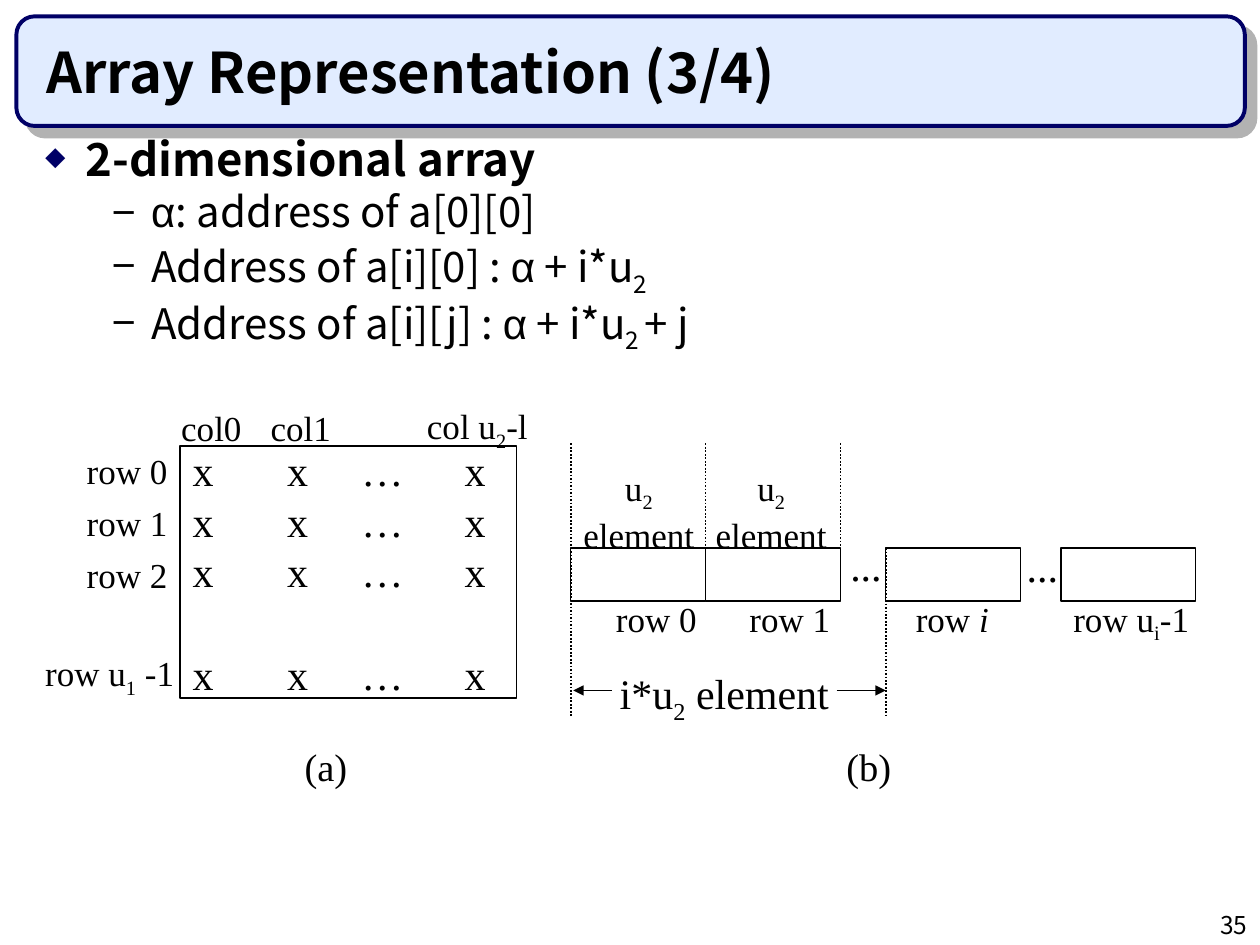
import pptx
import pptx.util
import pptx.dml.color
import pptx.enum.dml
import pptx.enum.shapes
import pptx.enum.text
import pptx.oxml
import pptx.oxml.ns

Inches, Pt = pptx.util.Inches, pptx.util.Pt
RGB = pptx.dml.color.RGBColor.from_string
ALIGN = pptx.enum.text.PP_ALIGN
ANCHOR = pptx.enum.text.MSO_ANCHOR
FIT = pptx.enum.text.MSO_AUTO_SIZE
SHAPE = pptx.enum.shapes.MSO_SHAPE
NS = pptx.oxml.ns.nsdecls("a")

THEME = {
    "ink": "000000", "paper": "FFFFFF", "navy": "000066", "panel": "E1ECFF", "shade": "B2B2B2",
    "sans": "Noto Sans CJK KR", "serif": "Times New Roman", "greek": "Arial",
    "title": 32, "head": 26, "item": 24, "cell": 24, "caption": 22, "label": 20, "number": 14,
}


def assign(target, values):
    for name, value in values.items():
        setattr(target, name, value)


def write(para, markup, size, font, bold=False):
    for index, piece in enumerate(markup.split("|")):
        if not piece:
            continue
        mark, text = (piece[0], piece[1:]) if index % 2 else ("", piece)
        span = para.add_run()
        span.text = text
        assign(span.font, {
            "name": THEME["greek"] if mark == "@" else font,
            "size": Pt(size), "bold": bold, "italic": mark == "/",
        })
        span.font.color.rgb = RGB(THEME["ink"])
        if mark == "_":
            span._r.get_or_add_rPr().set("baseline", "-25000")


deck = pptx.Presentation()
assign(deck, {"slide_width": Inches(10), "slide_height": Inches(7.5)})
page = deck.slides.add_slide(deck.slide_layouts[1])
title, body = page.shapes.title, page.placeholders[1]

panel = page.shapes.add_shape(SHAPE.ROUNDED_RECTANGLE, Inches(0.13), Inches(0.13), Inches(9.75), Inches(0.87))
panel.fill.solid()
panel.fill.fore_color.rgb = RGB(THEME["panel"])
panel.line.color.rgb = RGB(THEME["navy"])
panel.line.width = Pt(2.25)
panel.element.spPr.append(pptx.oxml.parse_xml(
    f'<a:effectLst {NS}><a:outerShdw dist="{Pt(8.5)}" dir="2700000" algn="ctr" rotWithShape="0">'
    f'<a:srgbClr val="{THEME["shade"]}"/></a:outerShdw></a:effectLst>'))
title.element.addprevious(panel.element)

assign(title, {"left": Inches(0.27), "top": Inches(0.21), "width": Inches(9.42), "height": Inches(0.67)})
assign(title.text_frame, {"vertical_anchor": ANCHOR.BOTTOM, "auto_size": FIT.NONE, "word_wrap": True})
title.text_frame.paragraphs[0].alignment = ALIGN.LEFT
write(title.text_frame.paragraphs[0], "Array Representation (3/4)", THEME["title"], THEME["sans"], True)

assign(body, {"left": Inches(0.2), "top": Inches(1.07), "width": Inches(9.42), "height": Inches(5.83)})
assign(body.text_frame, {"vertical_anchor": ANCHOR.TOP, "auto_size": FIT.NONE, "word_wrap": True})
head = {"level": 0, "size": THEME["head"], "bold": True, "before": 6.5, "margin": 0.38,
        "hang": 0.32, "bullet": "◆", "colour": THEME["navy"], "percent": 45}
item = {"level": 1, "size": THEME["item"], "bold": False, "before": 6, "margin": 0.9,
        "hang": 0.31, "bullet": "−", "colour": THEME["ink"], "percent": 100}
points = [
    (head, "2-dimensional array"),
    (item, "|@α|: address of a[0][0]"),
    (item, "Address of a[i][0] : |@α| + i*u|_2|"),
    (item, "Address of a[i][j] : |@α| + i*u|_2 |+ j"),
]
for index, (look, markup) in enumerate(points):
    para = body.text_frame.add_paragraph() if index else body.text_frame.paragraphs[0]
    assign(para, {"level": look["level"], "alignment": ALIGN.JUSTIFY, "line_spacing": 0.8,
                  "space_before": Pt(look["before"])})
    props = para._p.get_or_add_pPr()
    props.set("marL", str(Inches(look["margin"])))
    props.set("indent", str(-Inches(look["hang"])))
    for xml in (f'<a:buClr {NS}><a:srgbClr val="{look["colour"]}"/></a:buClr>',
                f'<a:buSzPct {NS} val="{look["percent"] * 1000}"/>',
                f'<a:buFont {NS} typeface="{THEME["sans"]}"/>',
                f'<a:buChar {NS} char="{look["bullet"]}"/>'):
        props.append(pptx.oxml.parse_xml(xml))
    write(para, markup, look["size"], THEME["sans"], look["bold"])

matrix = page.shapes.add_shape(SHAPE.RECTANGLE, Inches(1.43), Inches(3.54), Inches(2.67), Inches(2))
matrix.fill.background()
memory = [page.shapes.add_shape(SHAPE.RECTANGLE, Inches(left), Inches(4.35), Inches(1.07), Inches(0.42))
          for left in (4.53, 5.6, 7.03, 8.42)]
for box in memory:
    box.fill.solid()
    box.fill.fore_color.rgb = RGB(THEME["paper"])
for box in [matrix, *memory]:
    box.shadow.inherit = False
    box.line.color.rgb = RGB(THEME["ink"])
    box.line.width = Pt(0.75)

assign(matrix.text_frame, {"vertical_anchor": ANCHOR.MIDDLE, "word_wrap": True})
stops = "".join(f'<a:tab pos="{Inches(stop)}" algn="l"/>' for stop in (0.75, 1.34, 2.16))
for row, gap in enumerate((0, 0, 0, 30)):
    para = matrix.text_frame.add_paragraph() if row else matrix.text_frame.paragraphs[0]
    assign(para, {"alignment": ALIGN.LEFT, "space_before": Pt(gap)})
    para._p.get_or_add_pPr().append(pptx.oxml.parse_xml(f"<a:tabLst {NS}>{stops}</a:tabLst>"))
    write(para, "x\tx\t…\tx", THEME["cell"], THEME["serif"])

labels = [
    (1.34, 3.18, 0.7, 0.44, "label", ["col0"]),
    (2.05, 3.18, 0.7, 0.44, "label", ["col1"]),
    (3.29, 3.16, 1.05, 0.48, "label", ["col u|_2|-l"]),
    *[(0.59, 3.52 + 0.41 * row, 0.86, 0.44, "label", [f"row {row}"]) for row in range(3)],
    (0.26, 5.12, 1.3, 0.48, "label", ["row u|_1| -1"]),
    *[(left, 3.65, 1.08, 0.82, "label", ["u|_2|", "element"]) for left in (4.53, 5.58)],
    (4.79, 4.69, 0.86, 0.44, "label", ["row 0"]),
    (5.85, 4.69, 0.86, 0.44, "label", ["row 1"]),
    (7.17, 4.69, 0.8, 0.44, "label", ["row |/i|"]),
    (8.42, 4.69, 1.18, 0.48, "label", ["row u|_i|-1"]),
    (6.65, 4.23, 0.47, 0.5, "cell", ["..."]),
    (8.05, 4.24, 0.47, 0.5, "cell", ["..."]),
    (4.82, 5.25, 1.9, 0.56, "cell", ["i*u|_2| element"]),
    (2.32, 5.85, 0.6, 0.47, "caption", ["(a)"]),
    (6.62, 5.85, 0.6, 0.47, "caption", ["(b)"]),
    (7.92, 7.17, 2.08, 0.33, "number", ["35"]),
]
for left, top, width, height, role, lines in labels:
    numbered = role == "number"
    box = page.shapes.add_textbox(Inches(left), Inches(top), Inches(width), Inches(height))
    assign(box.text_frame, {"word_wrap": numbered,
                            "auto_size": FIT.NONE if numbered else FIT.SHAPE_TO_FIT_TEXT})
    for index, markup in enumerate(lines):
        para = box.text_frame.add_paragraph() if index else box.text_frame.paragraphs[0]
        para.alignment = ALIGN.RIGHT if numbered else ALIGN.CENTER if len(lines) > 1 else ALIGN.LEFT
        write(para, markup, THEME[role], THEME["sans" if numbered else "serif"])

rules = [
    (4.53, 3.52, 4.53, 5.69, None),
    (5.6, 3.52, 5.6, 4.77, None),
    (6.67, 3.52, 6.67, 4.77, None),
    (7.03, 4.35, 7.03, 5.69, None),
    (4.55, 5.48, 4.86, 5.48, "headEnd"),
    (6.64, 5.48, 7.03, 5.48, "tailEnd"),
]
for x1, y1, x2, y2, arrow in rules:
    rule = page.shapes.add_connector(pptx.enum.shapes.MSO_CONNECTOR.STRAIGHT,
                                     Inches(x1), Inches(y1), Inches(x2), Inches(y2))
    rule.line.color.rgb = RGB(THEME["ink"])
    rule.line.width = Pt(0.75 if arrow else 1)
    if arrow:
        rule.line._get_or_add_ln().append(pptx.oxml.parse_xml(f'<a:{arrow} {NS} type="triangle"/>'))
    else:
        rule.line.dash_style = pptx.enum.dml.MSO_LINE.ROUND_DOT
    rule.element.spPr.append(pptx.oxml.parse_xml(f"<a:effectLst {NS}/>"))

deck.save("out.pptx")
